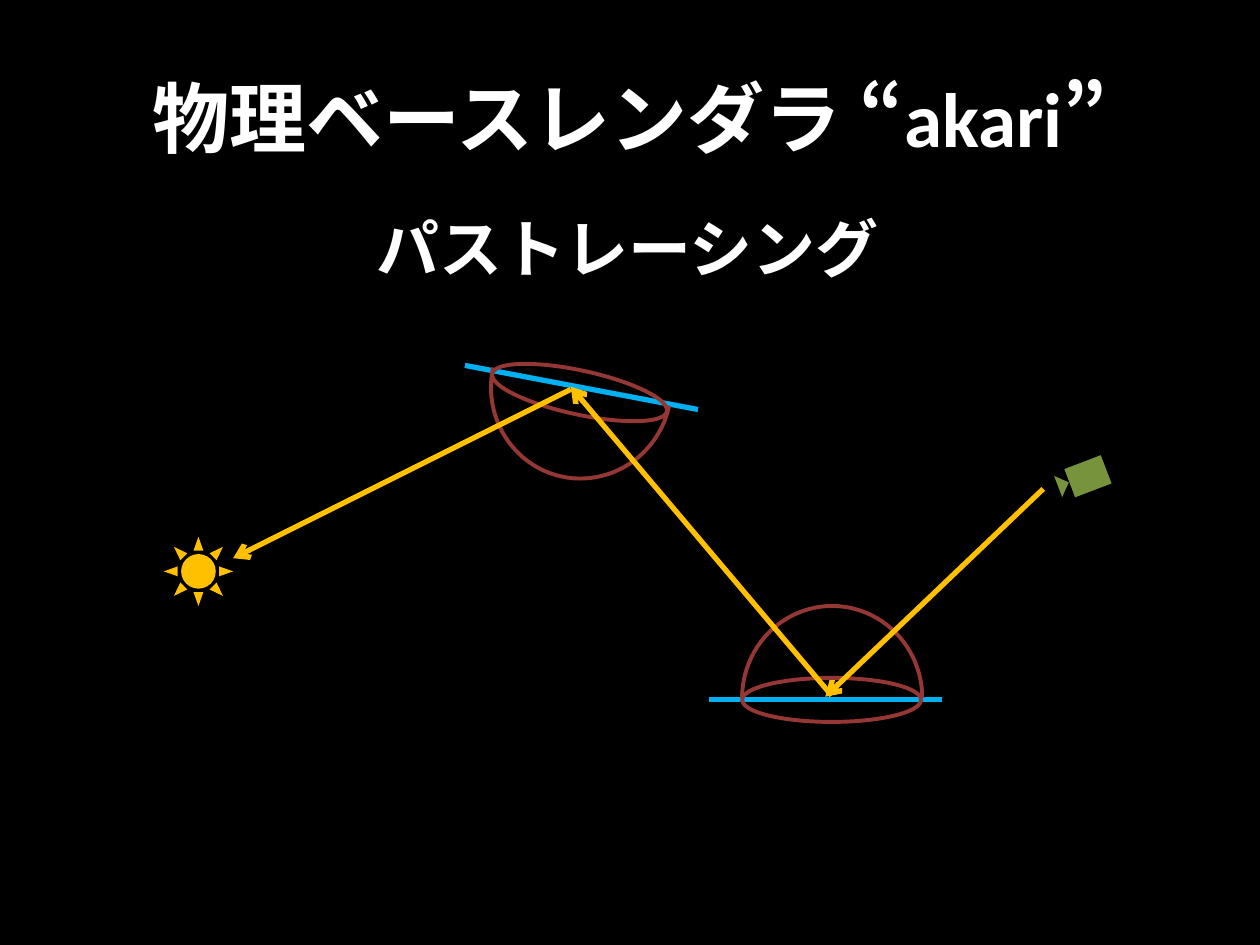
from dataclasses import dataclass
from math import cos, pi, sin

from pptx import Presentation
from pptx.dml.color import RGBColor
from pptx.enum import lang, shapes, text
from pptx.oxml import ns, xmlchemy
from pptx.util import Inches, Pt


@dataclass(frozen=True)
class Theme:
    font: str = "Calibri"
    title_size: int = 44
    subtitle_size: int = 36
    background: RGBColor = RGBColor.from_string("000000")
    lettering: RGBColor = RGBColor.from_string("FFFFFF")
    surface: RGBColor = RGBColor.from_string("00B0F0")
    light: RGBColor = RGBColor.from_string("FFC000")
    camera: RGBColor = RGBColor.from_string("77933C")
    hemisphere: RGBColor = RGBColor.from_string("953735")
    ray_width: float = 3
    outline_width: float = 2.25


theme = Theme()
deck = Presentation()
deck.slide_width, deck.slide_height = Inches(10), Inches(7.5)
page = deck.slides.add_slide(deck.slide_layouts[6])
page.background.fill.solid()
page.background.fill.fore_color.rgb = theme.background


def add_segment(start, end, color, arrow=False):
    segment = page.shapes.add_connector(
        shapes.MSO_CONNECTOR.STRAIGHT, *map(Inches, (*start, *end)))
    segment.line.color.rgb = color
    segment.line.width = Pt(theme.ray_width)
    if arrow:
        head = xmlchemy.OxmlElement("a:tailEnd")
        head.set("type", "arrow")
        segment.line._get_or_add_ln().append(head)
    segment._element.find(ns.qn("p:spPr")).append(xmlchemy.OxmlElement("a:effectLst"))


def add_solid(kind, frame, color, rotation=0):
    solid = page.shapes.add_shape(kind, *map(Inches, frame))
    solid.shadow.inherit = False
    solid.fill.solid()
    solid.fill.fore_color.rgb = color
    solid.line.fill.background()
    solid.rotation = rotation


# Title and subtitle
for words, frame, size, anchor in (
    ("物理ベースレンダラ “akari”", (0.5, 0.3, 9, 1.25), theme.title_size,
     text.MSO_ANCHOR.MIDDLE),
    ("パストレーシング", (0.1, 1.61, 9.76, 0.71), theme.subtitle_size,
     text.MSO_ANCHOR.TOP),
):
    box = page.shapes.add_textbox(*map(Inches, frame))
    box.text_frame.word_wrap = True
    box.text_frame.vertical_anchor = anchor
    para = box.text_frame.paragraphs[0]
    para.alignment = text.PP_ALIGN.CENTER
    span = para.add_run()
    span.text = words
    span.font.name = theme.font
    span.font.size = Pt(size)
    span.font.bold = True
    span.font.color.rgb = theme.lettering
    span.font.language_id = lang.MSO_LANGUAGE_ID.JAPANESE

# Sun and camera
add_solid(shapes.MSO_SHAPE.SUN, (1.3, 4.26, 0.55, 0.55), theme.light)
add_solid(shapes.MSO_SHAPE.RECTANGLE, (8.48, 3.66, 0.31, 0.24), theme.camera, 339.1)
add_solid(shapes.MSO_SHAPE.ISOSCELES_TRIANGLE, (8.35, 3.8, 0.18, 0.09),
          theme.camera, 69.1)

# Surfaces, each with a hemisphere of scattering directions
dome_width, dome_height, steps = 1.43, 0.73, 48
for start, end, base_corner, dome_corner, rotation in (
    ((5.63, 5.55), (7.48, 5.55), (5.89, 5.38), (5.89, 4.81), 0),
    ((3.69, 2.9), (5.54, 3.25), (3.89, 2.94), (3.82, 3.06), 192.2),
):
    add_segment(start, end, theme.surface)
    base = page.shapes.add_shape(
        shapes.MSO_SHAPE.OVAL, *map(Inches, (*base_corner, 1.42, 0.35)))
    left, top = dome_corner
    arc = [
        (Inches(left + dome_width / 2 * (1 - cos(pi * step / steps))),
         Inches(top + dome_height * (1 - sin(pi * step / steps))))
        for step in range(steps + 1)
    ]
    builder = page.shapes.build_freeform(*arc[0])
    builder.add_line_segments(arc[1:], close=False)
    dome = builder.convert_to_shape()
    for outline in (base, dome):
        outline.shadow.inherit = False
        outline.fill.background()
        outline.line.color.rgb = theme.hemisphere
        outline.line.width = Pt(theme.outline_width)
        outline.rotation = rotation

# Light path from the camera to the sun
for start, end in (
    ((8.28, 3.88), (6.55, 5.53)),
    ((6.6, 5.52), (4.53, 3.07)),
    ((4.53, 3.09), (1.85, 4.43)),
):
    add_segment(start, end, theme.light, arrow=True)

deck.save("out.pptx")
